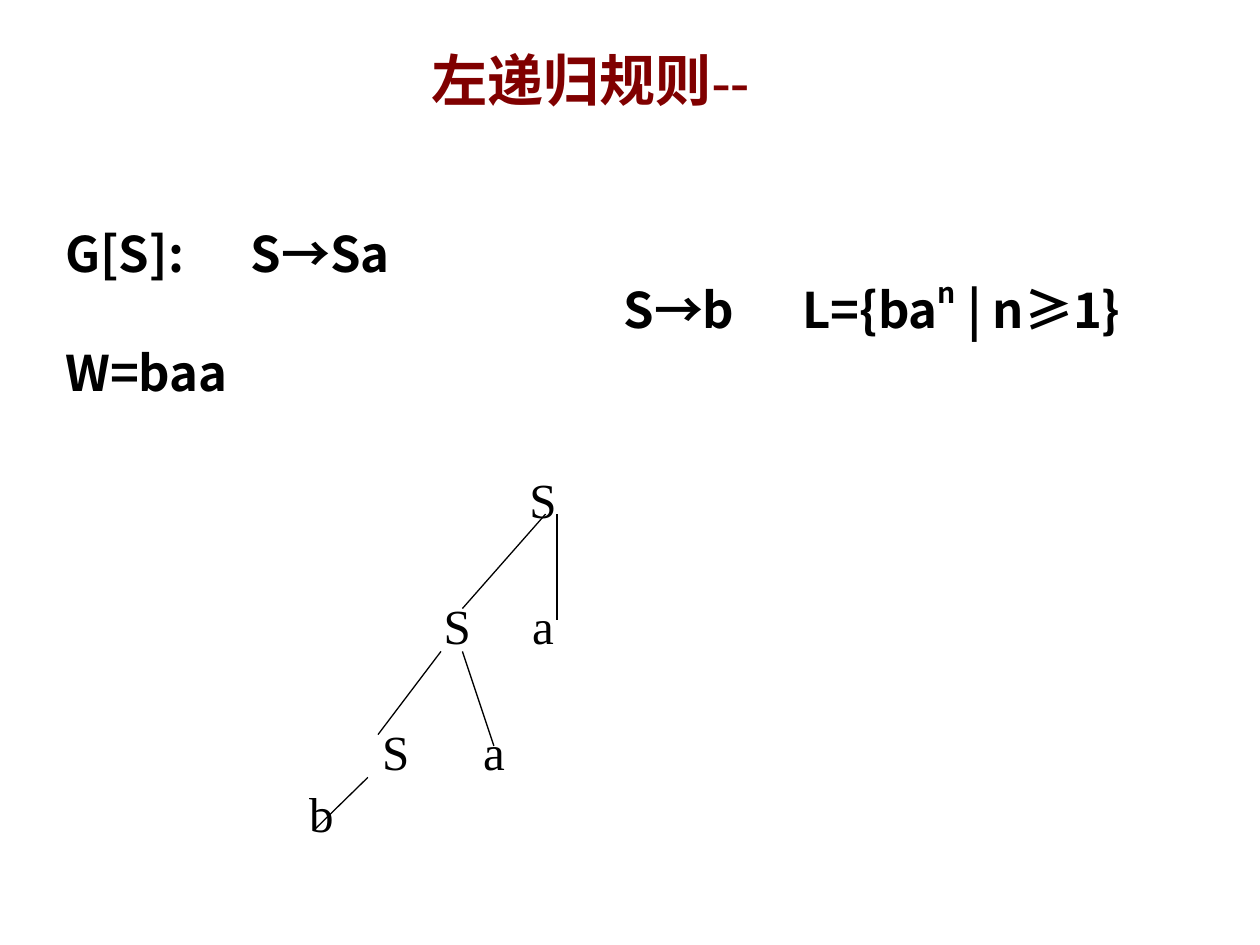
from pptx import Presentation
from pptx import util as u
from pptx.dml.color import RGBColor
from pptx.enum import shapes, text
from pptx.oxml import ns, xmlchemy

COLORS = {"title": "800000", "ink": "000000"}
SERIF, SANS = "Times New Roman", "Noto Sans CJK SC"
TITLE_FONT = {"name": SERIF, "size": u.Pt(32), "bold": True}
RULE_FONT = {"name": SANS, "size": u.Pt(28), "bold": True}
NODE_FONT = {"name": SERIF, "size": u.Pt(28), "bold": False}
NODE_SIZE = 0.5
RULE_TABS = (1.47, 4.43, 5.85)
RULES = (
    (("G[S]:\tS→Sa", False),),
    (("\t\tS→b\tL={ba", False), ("n", True), (" | n≥1}", False)),
    (("W=baa", False),),
)
TREE_NODES = (
    ("S", 4.31, 3.96),
    ("S", 3.63, 4.96), ("a", 4.31, 4.96),
    ("S", 3.14, 5.96), ("a", 3.92, 5.96),
    ("b", 2.55, 6.45),
)
TREE_EDGES = (
    (4.42, 4.08, 4.42, 4.92),
    (4.33, 4.08, 3.67, 4.83),
    (3.5, 5.17, 3, 5.83),
    (3.67, 5.17, 3.92, 5.92),
    (2.92, 6.17, 2.5, 6.58),
)


def add_child(parent, tag, **attributes):
    """Append an XML element with the given attributes and return it."""
    child = xmlchemy.OxmlElement(tag)
    for key, value in attributes.items():
        child.set(key, value)
    parent.append(child)
    return child


def add_frame(slide, box, **settings):
    """Add a wrapping text box and return its text frame."""
    frame = slide.shapes.add_textbox(*map(u.Inches, box)).text_frame
    for key, value in {"word_wrap": True, **settings}.items():
        setattr(frame, key, value)
    return frame


def add_run(paragraph, wording, font, color):
    """Add a formatted run with an East Asian font and return it."""
    run = paragraph.add_run()
    run.text = wording
    for key, value in font.items():
        setattr(run.font, key, value)
    run.font.color.rgb = RGBColor.from_string(COLORS[color])
    add_child(run.font._element, "a:ea", typeface=SANS)
    return run


def add_title(slide, box):
    """Place the centred heading."""
    frame = add_frame(slide, box, vertical_anchor=text.MSO_ANCHOR.MIDDLE)
    heading = frame.paragraphs[0]
    heading.alignment = text.PP_ALIGN.CENTER
    add_run(heading, "左递归规则--", TITLE_FONT, "title")


def add_grammar(slide, box):
    """Place the grammar rules, the language and the word on tab stops."""
    frame = add_frame(slide, box)
    for index, rule in enumerate(RULES):
        line = frame.paragraphs[0] if index == 0 else frame.add_paragraph()
        line.line_spacing = u.Pt(32)
        line.space_before = u.Pt(4 if index == 2 else 0)
        stops = add_child(line._p.get_or_add_pPr(), "a:tabLst")
        for stop in RULE_TABS:
            add_child(stops, "a:tab", pos=str(u.Inches(stop)), algn="l")
        for wording, raised in rule:
            run = add_run(line, wording, RULE_FONT, "ink")
            if raised:
                run.font._element.set("baseline", "52000")


def add_node(slide, symbol, x, y):
    """Place one tree symbol centred on a point."""
    box = (x - NODE_SIZE / 2, y - NODE_SIZE / 2, NODE_SIZE, NODE_SIZE)
    margins = {f"margin_{side}": 0 for side in ("left", "top", "right", "bottom")}
    frame = add_frame(slide, box, vertical_anchor=text.MSO_ANCHOR.MIDDLE, **margins)
    label = frame.paragraphs[0]
    label.alignment = text.PP_ALIGN.CENTER
    add_run(label, symbol, NODE_FONT, "ink")


def add_edge(slide, ends):
    """Draw one thin branch of the tree."""
    branch = slide.shapes.add_connector(
        shapes.MSO_CONNECTOR.STRAIGHT, *map(u.Inches, ends))
    branch.line.width = u.Pt(0.75)
    branch.line.color.rgb = RGBColor.from_string(COLORS["ink"])
    add_child(branch._element.find(ns.qn("p:spPr")), "a:effectLst")


def add_tree(slide, left, top):
    """Place the derivation tree with its top left corner at a point."""
    dx, dy = left - 2.3, top - 3.71
    for symbol, x, y in TREE_NODES:
        add_node(slide, symbol, x + dx, y + dy)
    for x1, y1, x2, y2 in TREE_EDGES:
        add_edge(slide, (x1 + dx, y1 + dy, x2 + dx, y2 + dy))


def main():
    """Build and save the slide."""
    deck = Presentation()
    deck.slide_width, deck.slide_height = u.Inches(10), u.Inches(7.5)
    slide = deck.slides.add_slide(deck.slide_layouts[6])
    add_title(slide, (0.42, 0.25, 8.53, 0.75))
    add_grammar(slide, (0.42, 1.75, 9.25, 1.5))
    add_tree(slide, 2.3, 3.71)
    deck.save("out.pptx")


if __name__ == "__main__":
    main()
